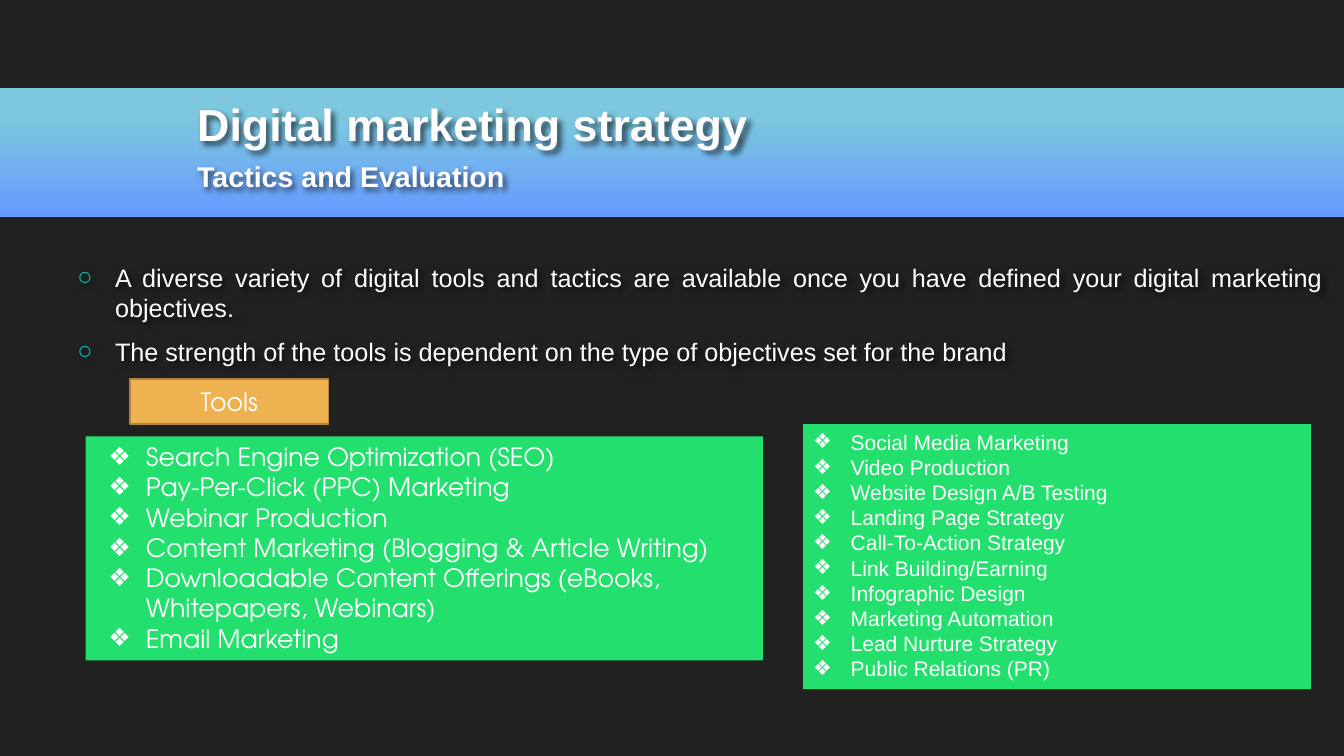
"""Builds the digital marketing strategy slide on tactics and evaluation."""
from lxml import etree
from pptx import Presentation
from pptx.dml.color import RGBColor
from pptx.enum.shapes import MSO_SHAPE
from pptx.enum.text import MSO_ANCHOR, PP_ALIGN
from pptx.oxml.ns import qn
from pptx.util import Cm, Pt

RECTANGLE = MSO_SHAPE.RECTANGLE
TOP, MIDDLE, BOTTOM = MSO_ANCHOR.TOP, MSO_ANCHOR.MIDDLE, MSO_ANCHOR.BOTTOM
LEFT, CENTER, JUSTIFY = PP_ALIGN.LEFT, PP_ALIGN.CENTER, PP_ALIGN.JUSTIFY

WHITE, GREEN, TEAL = "FFFFFF", "23E06E", "00C6BB"
SANS, GEOMETRIC = "Arial", "TeX Gyre Adventor"
HANGING = 0.95

TITLE = ["Digital marketing strategy"]
SUBTITLE = ["Tactics and Evaluation"]
STATEMENTS = [
    "A diverse variety of digital tools and tactics are available once you have "
    "defined your digital marketing objectives.",
    "The strength of the tools is dependent on the type of objectives set for the brand",
]
MAIN_TOOLS = [
    "Search Engine Optimization (SEO)",
    "Pay-Per-Click (PPC) Marketing",
    "Webinar Production",
    "Content Marketing (Blogging & Article Writing)",
    "Downloadable Content Offerings (eBooks, Whitepapers, Webinars)",
    "Email Marketing",
]
MORE_TOOLS = [
    "Social Media Marketing",
    "Video Production",
    "Website Design A/B Testing",
    "Landing Page Strategy",
    "Call-To-Action Strategy",
    "Link Building/Earning",
    "Infographic Design",
    "Marketing Automation",
    "Lead Nurture Strategy",
    "Public Relations (PR)",
]


def color(value):
    return RGBColor.from_string(value)


def add_rectangle(page, place, fill=None, line=None):
    box = page.shapes.add_shape(RECTANGLE, *(Cm(length) for length in place))
    box.shadow.inherit = False
    if fill:
        box.fill.solid()
        box.fill.fore_color.rgb = color(fill)
    if line:
        box.line.color.rgb = color(line)
        box.line.width = Pt(1.25)
    else:
        box.line.fill.background()
    return box


def add_text_box(page, place):
    box = page.shapes.add_textbox(*(Cm(length) for length in place))
    effects = etree.SubElement(box._element.spPr, qn("a:effectLst"))
    shadow = etree.SubElement(effects, qn("a:outerShdw"), blurRad="50800",
                              dist="38100", dir="2700000")
    black = etree.SubElement(shadow, qn("a:srgbClr"), val="000000")
    etree.SubElement(black, qn("a:alpha"), val="60000")
    return box


def add_bullet(para, symbol, tint, indent):
    settings = para._p.get_or_add_pPr()
    settings.set("marL", str(Cm(indent)))
    settings.set("indent", str(-Cm(HANGING)))
    bullet_color = etree.SubElement(settings, qn("a:buClr"))
    etree.SubElement(bullet_color, qn("a:srgbClr"), val=tint)
    etree.SubElement(settings, qn("a:buFont"), typeface=SANS)
    etree.SubElement(settings, qn("a:buChar"), char=symbol)


def write(box, lines, size, font=SANS, tint=WHITE, bold=False, align=LEFT,
          anchor=TOP, before=0, after=0, bullet=None, bullet_tint=WHITE,
          indent=HANGING):
    frame = box.text_frame
    frame.word_wrap = True
    frame.vertical_anchor = anchor
    for index, line in enumerate(lines):
        para = frame.paragraphs[0] if index == 0 else frame.add_paragraph()
        para.text = line
        para.alignment = align
        para.space_before, para.space_after = Pt(before), Pt(after)
        para.font.size, para.font.name = Pt(size), font
        para.font.bold = bold
        para.font.color.rgb = color(tint)
        if bullet:
            add_bullet(para, bullet, bullet_tint, indent)


def add_band(page):
    band = add_rectangle(page, (0, 2.23, 33.87, 3.25))
    band.fill.gradient()
    band.fill.gradient_angle = 270
    stops = ((0.21, "7DC8DF"), (1, "6699FF"))
    for stop, (position, tint) in zip(band.fill.gradient_stops, stops):
        stop.position = position
        stop.color.rgb = color(tint)


def main():
    deck = Presentation()
    deck.slide_width, deck.slide_height = Cm(33.87), Cm(19.05)
    page = deck.slides.add_slide(deck.slide_layouts[6])
    page.background.fill.solid()
    page.background.fill.fore_color.rgb = color("212121")

    add_band(page)
    write(add_text_box(page, (1.7, 6.48, 31.88, 3.1)), STATEMENTS, 18,
          align=JUSTIFY, before=3.6, after=6, bullet="○", bullet_tint=TEAL)
    write(add_text_box(page, (4.72, 2.31, 17.96, 1.57)), TITLE, 32,
          tint="FEFEFE", bold=True)
    write(add_text_box(page, (4.72, 4.01, 18.03, 0.99)), SUBTITLE, 20.4,
          bold=True, anchor=BOTTOM)
    write(add_rectangle(page, (20.24, 10.69, 12.8, 6.68), GREEN), MORE_TOOLS, 15,
          bullet="❖")
    write(add_rectangle(page, (2.16, 11, 17.07, 5.64), GREEN), MAIN_TOOLS, 18,
          font=GEOMETRIC, bullet="❖", indent=1.27)
    write(add_rectangle(page, (3.28, 9.55, 5, 1.14), "EFB251", "B1843C"), ["Tools"],
          18, font=GEOMETRIC, align=CENTER, anchor=MIDDLE)
    deck.save("out.pptx")


if __name__ == "__main__":
    main()
